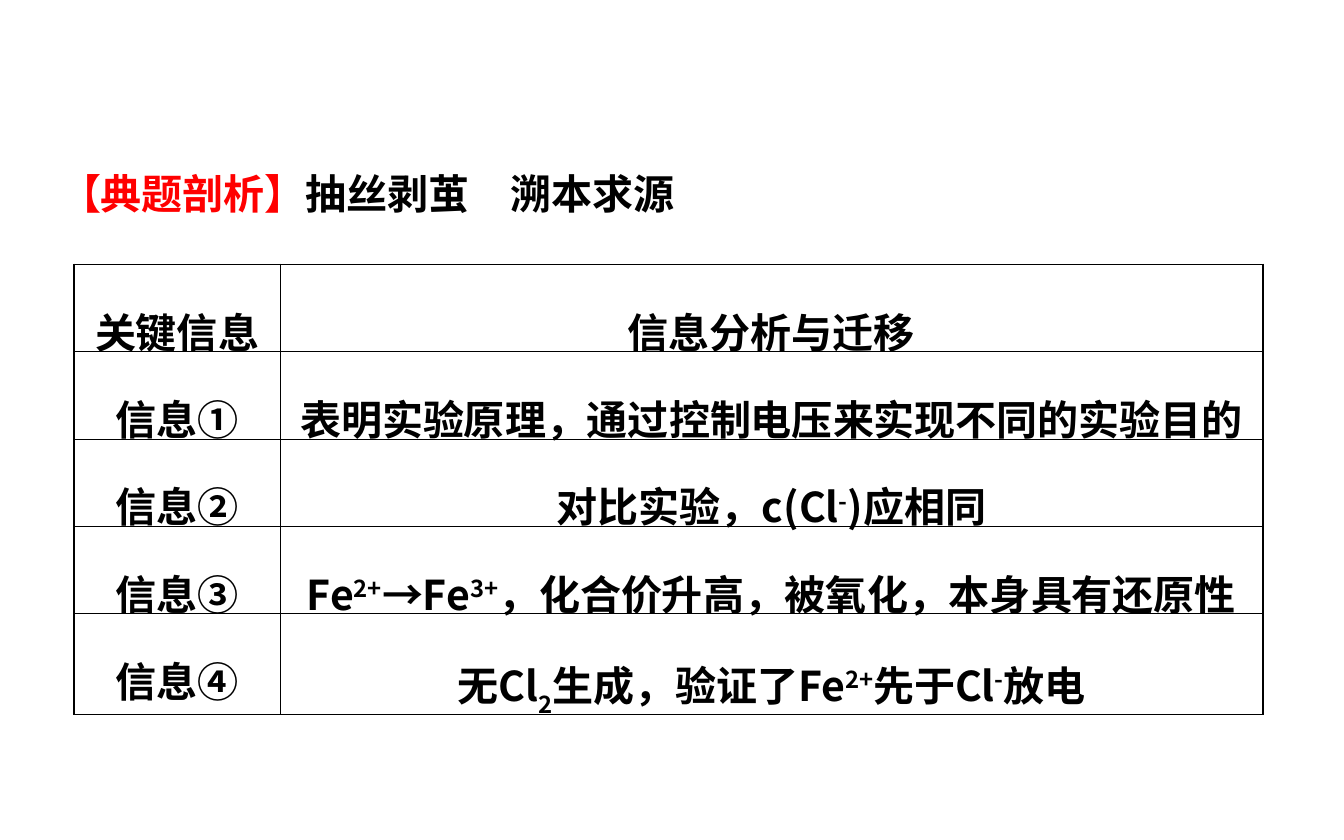
from lxml.etree import SubElement
from pptx import Presentation
from pptx.dml.color import RGBColor
from pptx.enum.text import MSO_ANCHOR, MSO_AUTO_SIZE, PP_ALIGN
from pptx.oxml.ns import qn
from pptx.util import Cm, Pt

FONT = "Noto Sans CJK SC"
BLACK, RED = "000000", "FF0000"
OUTER, INNER = Pt(0.96), Pt(0.45)
BASELINES = {"^": "30000", "_": "-30000"}
COLUMN_WIDTHS = [3.89, 18.58]
ROW_HEIGHTS = [1.65] * 4 + [1.9]
ANALYSIS = [
    ("关键信息", "信息分析与迁移"),
    ("信息①", "表明实验原理，通过控制电压来实现不同的实验目的"),
    ("信息②", "对比实验，c(Cl|^-|)应相同"),
    ("信息③", "Fe|^2+|→Fe|^3+|，化合价升高，被氧化，本身具有还原性"),
    ("信息④", "无Cl|_2|生成，验证了Fe|^2+|先于Cl|^-|放电"),
]


def color(value):
    return RGBColor.from_string(value)


def apply(target, formats):
    for name, value in formats.items():
        setattr(target, name, value)


def add_run(paragraph, text, ink=BLACK):
    run = paragraph.add_run()
    run.text = text.lstrip("^_")
    apply(run.font, {"size": Pt(22), "bold": True, "name": FONT})
    run.font.color.rgb = color(ink)
    properties = run.font._element
    SubElement(properties, qn("a:ea"), typeface=FONT)
    if text[0] in BASELINES:
        properties.set("baseline", BASELINES[text[0]])


def add_border(cell, side, width):
    line = SubElement(cell._tc.get_or_add_tcPr(), qn(f"a:ln{side}"), w=str(width))
    fill = SubElement(line, qn("a:solidFill"))
    SubElement(fill, qn("a:srgbClr"), val=BLACK)


def place_heading(slide, left, top, width, height):
    heading = slide.shapes.title
    apply(heading, {"left": Cm(left), "top": Cm(top),
                    "width": Cm(width), "height": Cm(height)})
    apply(heading.text_frame, {"word_wrap": True, "auto_size": MSO_AUTO_SIZE.NONE,
                               "vertical_anchor": MSO_ANCHOR.TOP})
    paragraph = heading.text_frame.paragraphs[0]
    apply(paragraph, {"alignment": PP_ALIGN.LEFT, "line_spacing": 1.8})
    add_run(paragraph, "【典题剖析】", RED)
    add_run(paragraph, "抽丝剥茧　溯本求源")


def fill_cell(cell, text, edges):
    apply(cell, {"vertical_anchor": MSO_ANCHOR.TOP, "margin_bottom": Cm(-0.16)})
    paragraph = cell.text_frame.paragraphs[0]
    apply(paragraph, {"alignment": PP_ALIGN.CENTER, "line_spacing": 1.5})
    for part in text.split("|"):
        add_run(paragraph, part)
    for side, is_outer in edges.items():
        add_border(cell, side, OUTER if is_outer else INNER)
    cell.fill.background()


def place_analysis(slide, left, top):
    last_row, last_column = len(ANALYSIS) - 1, len(COLUMN_WIDTHS) - 1
    table = slide.shapes.add_table(
        len(ANALYSIS), len(COLUMN_WIDTHS), Cm(left), Cm(top),
        Cm(sum(COLUMN_WIDTHS)), Cm(sum(ROW_HEIGHTS))).table
    apply(table, {"first_row": False, "horz_banding": False})
    for column, width in zip(table.columns, COLUMN_WIDTHS):
        column.width = Cm(width)
    for row, height in zip(table.rows, ROW_HEIGHTS):
        row.height = Cm(height)
    for r, texts in enumerate(ANALYSIS):
        for c, text in enumerate(texts):
            edges = {"L": c == 0, "R": c == last_column,
                     "T": r == 0, "B": r == last_row}
            fill_cell(table.cell(r, c), text, edges)


def main():
    deck = Presentation()
    apply(deck, {"slide_width": Cm(25.4), "slide_height": Cm(15.88)})
    slide = deck.slides.add_slide(deck.slide_layouts[5])
    place_heading(slide, 0.88, 2.31, 23.95, 1.93)
    place_analysis(slide, 1.4, 5)
    deck.save("out.pptx")


if __name__ == "__main__":
    main()
